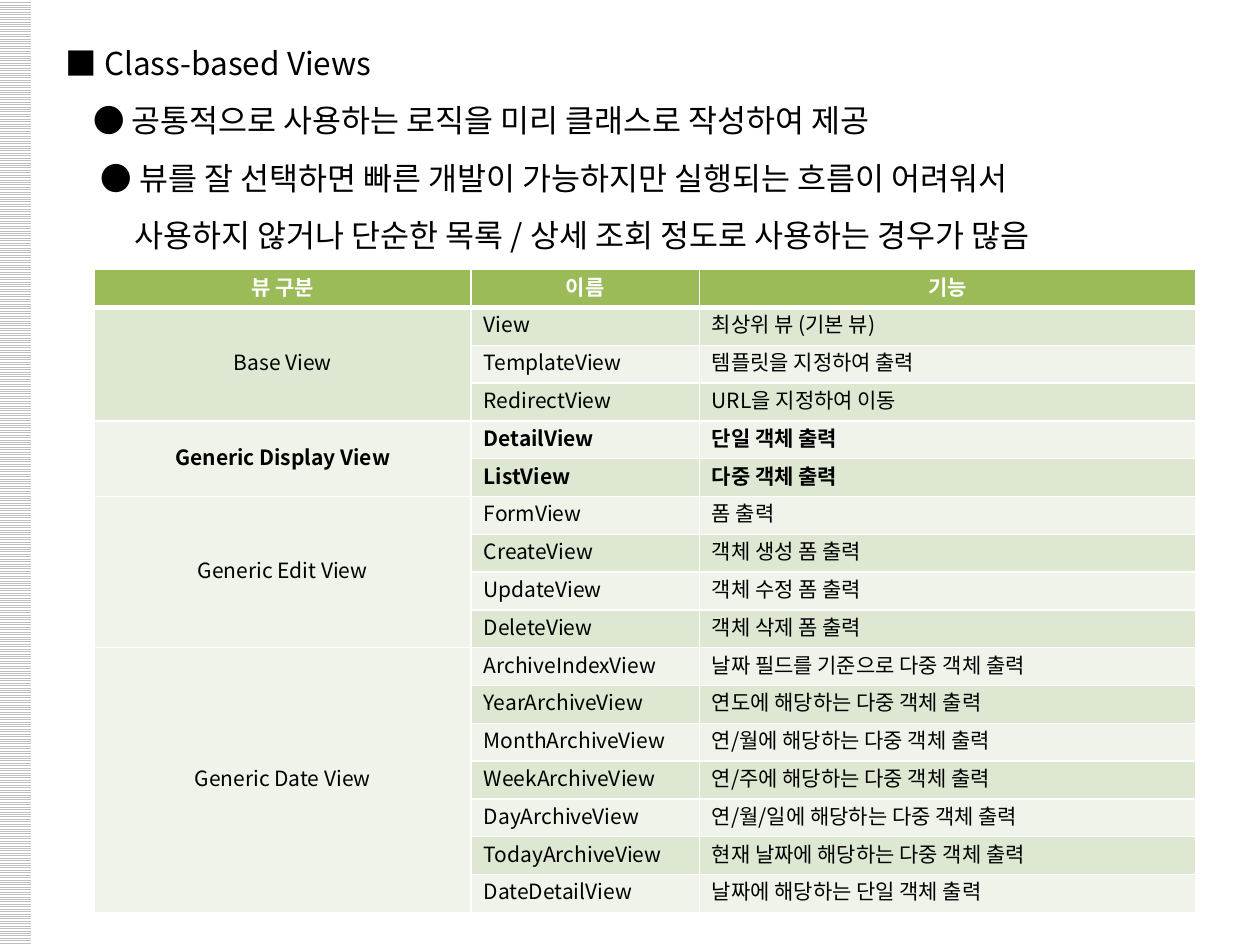
from lxml.etree import SubElement
from pptx import Presentation
from pptx.dml.color import RGBColor
from pptx.enum.dml import MSO_PATTERN
from pptx.enum.shapes import MSO_SHAPE
from pptx.enum.text import MSO_ANCHOR, MSO_AUTO_SIZE, PP_ALIGN
from pptx.oxml.ns import qn
from pptx.util import Inches, Pt

FONT = "Noto Sans CJK KR"
COLORS = {
    "white": "FFFFFF",
    "black": "000000",
    "stripe": "C0C0C0",
    "header": "9BBB59",
    "odd_row": "DEE7D1",
    "even_row": "EFF3EA",
}

HEADING = "■ Class-based Views"
# Each line with its left indent in inches
POINTS = [
    ("● 공통적으로 사용하는 로직을 미리 클래스로 작성하여 제공", 0.22),
    ("● 뷰를 잘 선택하면 빠른 개발이 가능하지만 실행되는 흐름이 어려워서", 0.28),
    ("사용하지 않거나 단순한 목록 / 상세 조회 정도로 사용하는 경우가 많음", 0.55),
]

COLUMN_NAMES = ["뷰 구분", "이름", "기능"]
COLUMN_WIDTHS = [2.99, 1.81, 3.94]
ROW_HEIGHT = 0.3
EMPHASIZED = "Generic Display View"
VIEW_GROUPS = {
    "Base View": [
        ("View", "최상위 뷰 (기본 뷰)"),
        ("TemplateView", "템플릿을 지정하여 출력"),
        ("RedirectView", "URL을 지정하여 이동"),
    ],
    EMPHASIZED: [
        ("DetailView", "단일 객체 출력"),
        ("ListView", "다중 객체 출력"),
    ],
    "Generic Edit View": [
        ("FormView", "폼 출력"),
        ("CreateView", "객체 생성 폼 출력"),
        ("UpdateView", "객체 수정 폼 출력"),
        ("DeleteView", "객체 삭제 폼 출력"),
    ],
    "Generic Date View": [
        ("ArchiveIndexView", "날짜 필드를 기준으로 다중 객체 출력"),
        ("YearArchiveView", "연도에 해당하는 다중 객체 출력"),
        ("MonthArchiveView", "연/월에 해당하는 다중 객체 출력"),
        ("WeekArchiveView", "연/주에 해당하는 다중 객체 출력"),
        ("DayArchiveView", "연/월/일에 해당하는 다중 객체 출력"),
        ("TodayArchiveView", "현재 날짜에 해당하는 다중 객체 출력"),
        ("DateDetailView", "날짜에 해당하는 단일 객체 출력"),
    ],
}


def color(name):
    return RGBColor.from_string(COLORS[name])


def add_span(para, text, size, ink="black", bold=False):
    span = para.add_run()
    span.text = text
    span.font.name = FONT
    span.font.size = Pt(size)
    span.font.bold = bold
    span.font.color.rgb = color(ink)
    SubElement(span.font._element, qn("a:ea"), typeface=FONT)


def place_stripes(page, left, top, width, height):
    band = page.shapes.add_shape(MSO_SHAPE.RECTANGLE, left, top, width, height)
    band.shadow.inherit = False
    band.line.fill.background()
    band.fill.patterned()
    band.fill.pattern = MSO_PATTERN.LIGHT_HORIZONTAL
    band.fill.fore_color.rgb = color("stripe")
    band.fill.back_color.rgb = color("white")


def place_lines(holder, lines, left, top, width, line_height):
    """Fill a placeholder with (text, indent) lines of equal height."""
    holder.left, holder.top = left, top
    holder.width, holder.height = width, line_height * len(lines)
    frame = holder.text_frame
    frame.auto_size = MSO_AUTO_SIZE.NONE
    frame.word_wrap = False
    frame.vertical_anchor = MSO_ANCHOR.TOP
    frame.margin_left = frame.margin_right = 0
    frame.margin_top = frame.margin_bottom = 0
    for index, (text, indent) in enumerate(lines):
        para = frame.add_paragraph() if index else frame.paragraphs[0]
        para.alignment = PP_ALIGN.LEFT
        para.line_spacing = line_height
        para.space_before = Pt(0)
        properties = para._p.get_or_add_pPr()
        properties.set("marL", str(Inches(indent)))
        properties.set("indent", "0")
        SubElement(properties, qn("a:buNone"))
        add_span(para, text, 18)


def set_borders(cell, top=1, bottom=1):
    properties = cell._tc.get_or_add_tcPr()
    for side, points in (("L", 1), ("R", 1), ("T", top), ("B", bottom)):
        line = SubElement(properties, qn(f"a:ln{side}"), w=str(Pt(points)))
        fill = SubElement(line, qn("a:solidFill"))
        SubElement(fill, qn("a:srgbClr"), val=COLORS["white"])


def style_cell(cell, fill, top=1, bottom=1):
    set_borders(cell, top, bottom)
    cell.fill.solid()
    cell.fill.fore_color.rgb = color(fill)
    cell.vertical_anchor = MSO_ANCHOR.MIDDLE
    cell.margin_top = cell.margin_bottom = Inches(0.02)


def write_cell(cell, text, centered=False, ink="black", bold=False):
    para = cell.text_frame.paragraphs[0]
    para.alignment = PP_ALIGN.CENTER if centered else PP_ALIGN.LEFT
    para.line_spacing = Pt(14.5)
    add_span(para, text, 12, ink, bold)


def place_view_table(page, left, top):
    row_count = 1 + sum(len(views) for views in VIEW_GROUPS.values())
    table = page.shapes.add_table(
        row_count, len(COLUMN_NAMES), left, top,
        Inches(sum(COLUMN_WIDTHS)), Inches(ROW_HEIGHT * row_count)).table
    for column, width in zip(table.columns, COLUMN_WIDTHS):
        column.width = Inches(width)
    for row in table.rows:
        row.height = Inches(ROW_HEIGHT)

    for index, name in enumerate(COLUMN_NAMES):
        cell = table.cell(0, index)
        style_cell(cell, "header", bottom=3)
        write_cell(cell, name, centered=True, ink="white", bold=True)
    for row in range(1, row_count):
        for index in range(len(COLUMN_NAMES)):
            style_cell(table.cell(row, index),
                       "odd_row" if row % 2 else "even_row",
                       top=3 if row == 1 else 1)

    first = 1
    for group, views in VIEW_GROUPS.items():
        bold = group == EMPHASIZED
        group_cell = table.cell(first, 0)
        group_cell.merge(table.cell(first + len(views) - 1, 0))
        write_cell(group_cell, group, centered=True, bold=bold)
        for row, view in enumerate(views, first):
            for index, text in enumerate(view, 1):
                write_cell(table.cell(row, index), text, bold=bold)
        first += len(views)


def main():
    deck = Presentation()
    deck.slide_width, deck.slide_height = Inches(10), Inches(7.5)
    page = deck.slides.add_slide(deck.slide_layouts[1])
    place_stripes(page, 0, 0, Inches(0.25), deck.slide_height)

    left, top, width = Inches(0.52), Inches(0.2), Inches(8.92)
    line_height = Pt(32.6)
    place_lines(page.shapes.title, [(HEADING, 0)], left, top, width, line_height)
    place_lines(page.placeholders[1], POINTS, left, top + line_height, width, line_height)
    place_view_table(page, Inches(0.75), Inches(2.14))
    deck.save("out.pptx")


if __name__ == "__main__":
    main()
